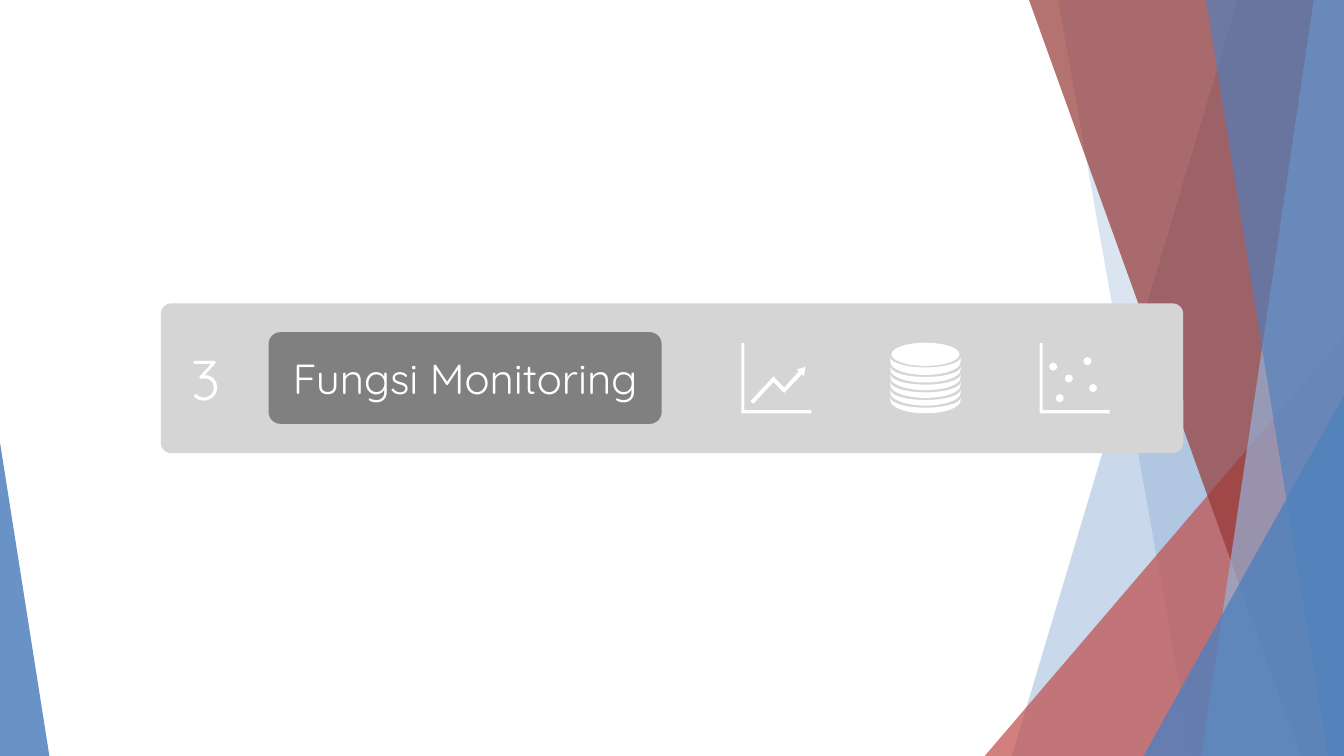
from math import cos, pi, sin
from lxml.etree import SubElement
from pptx import Presentation
from pptx.dml.color import RGBColor as Rgb
from pptx.enum.shapes import MSO_CONNECTOR as Link, MSO_SHAPE as Kind
from pptx.enum.text import MSO_ANCHOR as Anchor, MSO_AUTO_SIZE as Fit, PP_ALIGN as Align
from pptx.oxml.ns import qn
from pptx.util import Pt

PX = 9144
WIDE, HIGH = 2667, 1500
FONT = "Quicksand"
BEND = 0.55
HUES = {
    "white": "FFFFFF",
    "blue": "4F81BD",
    "pale": "95B3D7",
    "red": "C0504D",
    "wine": "953735",
    "light": "D5D5D5",
    "gray": "808080",
}


def emu(*vals):
    return [round(v * PX) for v in vals]


def paint(shape, hue, alpha=100):
    shape.shadow.inherit = False
    shape.fill.solid()
    shape.fill.fore_color.rgb = Rgb.from_string(HUES[hue])
    shape.line.fill.background()
    if alpha < 100:
        color = next(shape._element.spPr.iter(qn("a:srgbClr")))
        SubElement(color, qn("a:alpha"), val=str(alpha * 1000))


def block(slide, kind, box, adjust, hue, alpha=100):
    shape = slide.shapes.add_shape(kind, *emu(*box))
    shape.adjustments[0] = adjust
    paint(shape, hue, alpha)
    return shape


def curve(shape, steps):
    lines = iter(list(shape._element.spPr.iter(qn("a:lnTo"))))
    for step in steps:
        first, *rest = [next(lines) for point in step]
        if rest:
            first.tag = qn("a:cubicBezTo")
            for line in rest:
                first.append(line[0])
                line.getparent().remove(line)


def outline(slide, loops, hue, alpha=100, left=0, top=0):
    pen = None
    for loop in loops:
        points = [emu(left + x, top + y) for step in loop for x, y in step]
        if pen is None:
            pen = slide.shapes.build_freeform(*points[0], scale=1.0)
        else:
            pen.move_to(*points[0])
        pen.add_line_segments(points[1:], close=True)
    shape = pen.convert_to_shape()
    curve(shape, [step for loop in loops for step in loop[1:]])
    paint(shape, hue, alpha)


def edges(points):
    return [[point] for point in points]


def arc(x, y, wide, high, start, turn, count):
    def spot(t, pull=0):
        across = cos(t) - pull * sin(t)
        down = sin(t) + pull * cos(t)
        return x + wide * across, y + high * down

    steps = [[spot(start)]]
    for i in range(count):
        t = start + turn * i * pi / 2
        end = t + turn * pi / 2
        steps.append([spot(t, BEND * turn), spot(end, -BEND * turn), spot(end)])
    return steps


def write(shape, text, size, align):
    frame = shape.text_frame
    frame.text = text
    frame.word_wrap = True
    frame.vertical_anchor = Anchor.MIDDLE
    frame.margin_left = frame.margin_right = 6 * PX
    frame.margin_top = frame.margin_bottom = 6 * PX
    para = frame.paragraphs[0]
    para.alignment = align
    font = para.runs[0].font
    font.name, font.size = FONT, Pt(size)
    font.color.rgb = Rgb.from_string(HUES["white"])


def backdrop(slide, wide, high):
    for ends in ((2050, 0, 2316, high), (wide, 805, 1624, high)):
        line = slide.shapes.add_connector(Link.STRAIGHT, *emu(*ends))
        line.line.color.rgb = Rgb.from_string(HUES["white"])
        line.line.width = Pt(0.75)
        SubElement(line._element.spPr, qn("a:effectLst"))

    def band(head, foot, hue, alpha):
        points = [(head, 0), (wide, 0), (wide, high), (foot, high)]
        outline(slide, [edges(points)], hue, alpha)

    def wedge(left, top, width, tip, hue, alpha):
        box = left, top, width, high - top
        block(slide, Kind.ISOSCELES_TRIANGLE, box, tip, hue, alpha)

    band(2456, 2008, "blue", 30)
    band(2100, 2365, "blue", 20)
    wedge(1954, 667, wide - 1954, 1, "red", 72)
    band(2042, 2582, "wine", 70)
    band(2607, 2384, "pale", 70)
    band(2393, 2635, "blue", 65)
    wedge(2269, 785, wide - 2269, 1, "blue", 80)
    wedge(0, 878, 98, 0, "blue", 85)


def axes(size):
    return edges([(0, 0), (6, 0), (6, size - 6), (size, size - 6), (size, size), (0, size)])


def trend(slide, left, top, size):
    arrow = [(128, 47), (110, 52), (114, 56), (85, 88), (64, 66), (18, 115),
             (24, 120), (64, 77), (85, 99), (120, 62), (124, 65)]
    outline(slide, [axes(size), edges(arrow)], "white", 100, left, top)


def stack(slide, left, top, size):
    mid = size / 2
    loops = [arc(mid, 22, mid - 2, 23, 0, 1, 4)]
    sides = [(28, 38)] + [(47 + 15.25 * i, 53 + 15.25 * i) for i in range(5)]
    for high, low in sides:
        upper = arc(mid, high, mid, 20, pi, -1, 2)
        loops.append(upper + arc(mid, low, mid, 25, 0, 1, 2))
    outline(slide, loops, "white", 100, left, top)


def scatter(slide, left, top, size):
    dots = [(95, 35.5), (27, 46.5), (58, 70), (106, 89), (40, 109)]
    loops = [arc(x, y, 8, 8, 0, 1, 4) for x, y in dots]
    outline(slide, [axes(size)] + loops, "white", 100, left, top)


def card(slide, left, top, wide, high):
    block(slide, Kind.ROUNDED_RECTANGLE, (left, top, wide, high), 0.07, "light")
    box = left + 214, top + 57, 780, 182
    label = block(slide, Kind.ROUNDED_RECTANGLE, box, 0.13, "gray")
    write(label, "Fungsi Monitoring", 60, Align.CENTER)
    number = slide.shapes.add_textbox(*emu(left + 56, top + 75, 84, 146))
    write(number, "3", 80, Align.LEFT)
    number.text_frame.auto_size = Fit.SHAPE_TO_FIT_TEXT
    for index, icon in enumerate((trend, stack, scatter)):
        icon(slide, left + 1152 + 296 * index, top + 79, 139)


def main():
    deck = Presentation()
    deck.slide_width, deck.slide_height = emu(WIDE, HIGH)
    slide = deck.slides.add_slide(deck.slide_layouts[6])
    backdrop(slide, WIDE, HIGH)
    card(slide, 319, 602, 2029, 297)
    deck.save("out.pptx")


if __name__ == "__main__":
    main()
